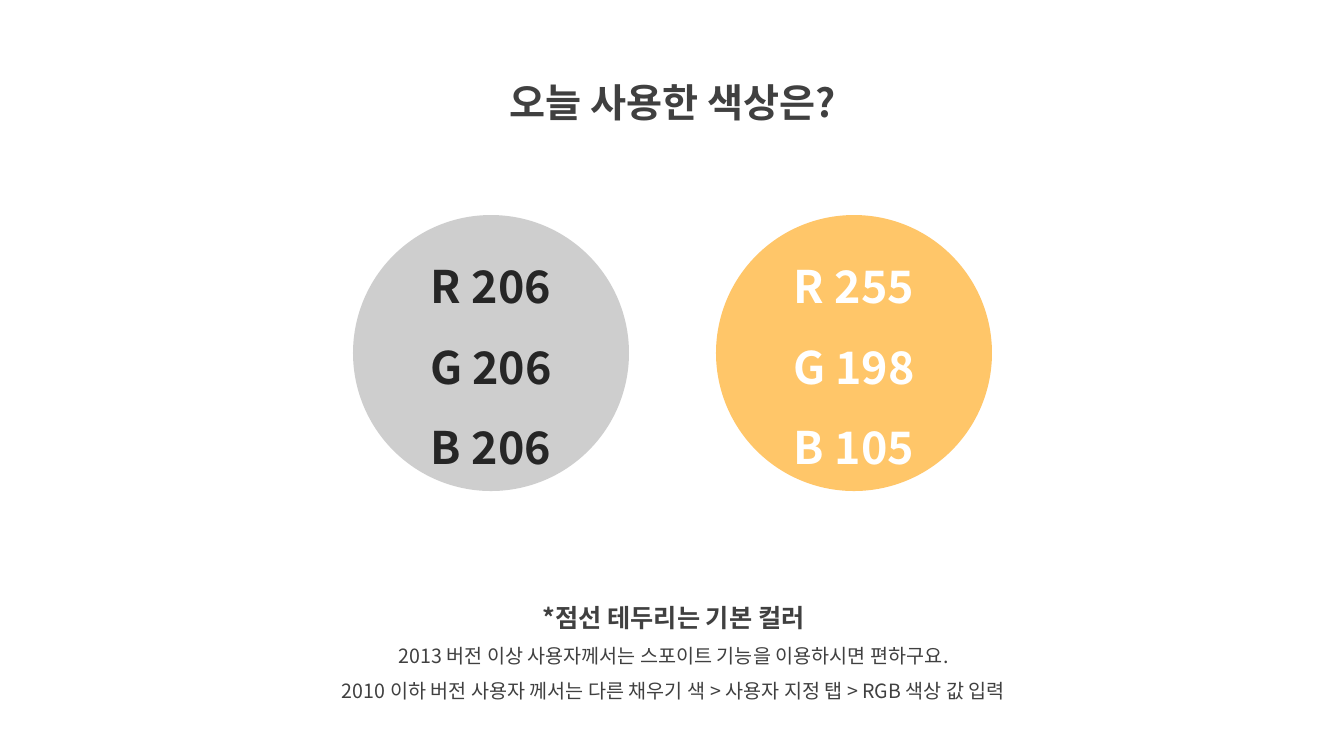
from lxml.etree import SubElement
from pptx import Presentation
from pptx.dml.color import RGBColor
from pptx.enum.shapes import MSO_SHAPE
from pptx.enum.text import MSO_ANCHOR, MSO_AUTO_SIZE, PP_ALIGN
from pptx.oxml.ns import qn
from pptx.util import Pt

FONT = "Noto Sans CJK KR"
DARK = "404040"


def px(*lengths):
    return [round(n * 914400 / 100.8) for n in lengths]


def add_text(tf, text, *, size, color, bold=False):
    p = tf.paragraphs[0] if not tf.text else tf.add_paragraph()
    p.alignment = PP_ALIGN.CENTER
    p.line_spacing = 1.5
    r = p.add_run()
    r.text = text
    r.font.size = Pt(size)
    r.font.bold = bold
    r.font.color.rgb = RGBColor.from_string(color)
    r.font.name = FONT
    SubElement(r.font._element, qn("a:ea"), typeface=FONT)


prs = Presentation()
prs.slide_width, prs.slide_height = px(1344, 756)
s = prs.slides.add_slide(prs.slide_layouts[6])

boxes = [
    ((439, 50, 467, 73), [("오늘 사용한 색상은?", 28, True)]),
    ((271, 582, 805, 127), [
        ("*점선 테두리는 기본 컬러", 18, True),
        ("2013 버전 이상 사용자께서는 스포이트 기능을 이용하시면 편하구요.", 14, False),
        ("2010 이하 버전 사용자 께서는 다른 채우기 색 > 사용자 지정 탭 > RGB 색상 값 입력", 14, False),
    ]),
]
for place, lines in boxes:
    tf = s.shapes.add_textbox(*px(*place)).text_frame
    tf.word_wrap = True
    tf.auto_size = MSO_AUTO_SIZE.SHAPE_TO_FIT_TEXT
    for text, size, bold in lines:
        add_text(tf, text, size=size, color=DARK, bold=bold)

swatches = [(353, (206, 206, 206), "262626"), (716, (255, 198, 105), "FFFFFF")]
for left, rgb, color in swatches:
    sp = s.shapes.add_shape(MSO_SHAPE.OVAL, *px(left, 215, 276, 276))
    sp.shadow.inherit = False
    sp.fill.solid()
    sp.fill.fore_color.rgb = RGBColor(*rgb)
    sp.line.fill.background()
    tf = sp.text_frame
    tf.word_wrap = True
    tf.vertical_anchor = MSO_ANCHOR.MIDDLE
    for channel, value in zip("RGB", rgb):
        add_text(tf, f"{channel} {value}", size=32, color=color, bold=True)

prs.save("out.pptx")
